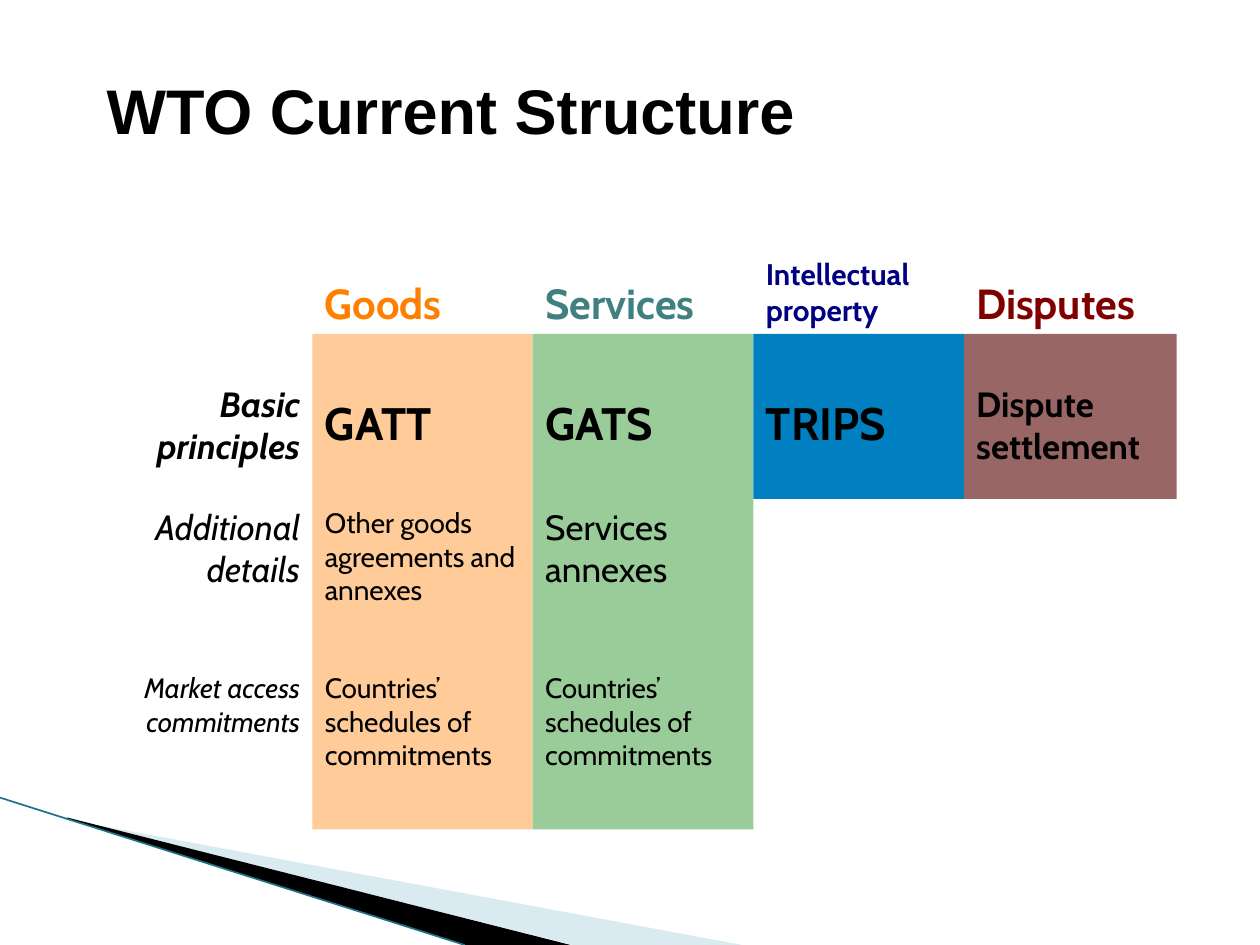
"""Build the WTO structure slide: agreements by area and by level of detail."""
from lxml import etree
from pptx import Presentation
from pptx.dml.color import RGBColor
from pptx.enum import shapes, text
from pptx.oxml import ns
from pptx.util import Cm, Pt

COLORS = {
    "black": "000000", "wedge": "A0CBDC", "edge": "1B7587",
    "goods": "FFCC99", "services": "99CC99", "property": "0080C0", "disputes": "996666",
    "goods head": "FF8000", "services head": "408080",
    "property head": "000080", "disputes head": "800000",
}

deck = Presentation()
deck.slide_width, deck.slide_height = Cm(25.4), Cm(19.05)
slide = deck.slides.add_slide(deck.slide_layouts[6])


def color(name):
    return RGBColor.from_string(COLORS[name])


def add_text(words, left, top, width, height, size, font="Cabin", ink="black", fill=None,
             bold=False, italic=False, align=text.PP_ALIGN.LEFT,
             anchor=text.MSO_ANCHOR.TOP, inset=0.13):
    place = Cm(left), Cm(top), Cm(width), Cm(height)
    if fill:
        box = slide.shapes.add_shape(shapes.MSO_SHAPE.RECTANGLE, *place)
        box.shadow.inherit = False
        box.fill.solid()
        box.fill.fore_color.rgb = color(fill)
        box.line.fill.background()
    else:
        box = slide.shapes.add_textbox(*place)
    frame = box.text_frame
    frame.word_wrap = True
    frame.vertical_anchor = anchor
    frame.margin_top = Cm(inset)
    paragraph = frame.paragraphs[0]
    paragraph.alignment = align
    run = paragraph.add_run()
    run.text = words
    run.font.name, run.font.size = font, Pt(size)
    run.font.bold, run.font.italic = bold, italic
    run.font.color.rgb = color(ink)


wedges = [
    ("wedge", 40, [(1.4, 16.53), (14.96, 19.05), (11.55, 19.05), (1.4, 16.51)]),
    ("black", 100, [(1.35, 16.48), (11.5, 19.05), (9.37, 19.05), (1.37, 16.51)]),
]
for name, opacity, corners in wedges:
    start, *rest = [(Cm(x), Cm(y)) for x, y in corners]
    outline = slide.shapes.build_freeform(*start)
    outline.add_line_segments(rest, close=True)
    wedge = outline.convert_to_shape()
    wedge.shadow.inherit = False
    wedge.line.fill.background()
    wedge.fill.solid()
    wedge.fill.fore_color.rgb = color(name)
    if opacity < 100:
        tint = wedge.fill._xPr.find(".//" + ns.qn("a:srgbClr"))
        etree.SubElement(tint, ns.qn("a:alpha"), val=str(opacity * 1000))

edge = slide.shapes.add_connector(
    shapes.MSO_CONNECTOR.STRAIGHT, Cm(0), Cm(16.08), Cm(9.37), Cm(19.05))
edge.line.color.rgb = color("edge")
edge.line.width = Pt(0.95)
etree.SubElement(edge._element.spPr, ns.qn("a:effectLst"))

add_text("WTO Current Structure", 1.9, 0.84, 20.75, 2.74, 36, font="Arial", bold=True,
         anchor=text.MSO_ANCHOR.MIDDLE)

column_edges = [2.1, 6.3, 10.74, 15.19, 19.43, 23.72]
first_top, row_height = 3.4, 3.33
areas = ["goods", "services", "property", "disputes"]
headings = [("Goods", 24), ("Services", 24), ("Intellectual property", 17), ("Disputes", 24)]
levels = [
    (("Basic principles", 20, 0.98),
     [("GATT", 26, 1.24), ("GATS", 26, 1.24), ("TRIPS", 26, 1.24),
      ("Dispute settlement", 20, 0.98)]),
    (("Additional details", 20, 0.13),
     [("Other goods agreements and annexes", 16, 0.13), ("Services annexes", 20, 0.13)]),
    (("Market access commitments", 16, 0.13),
     [("Countries’ schedules of commitments", 16, 0.13)] * 2),
]

for area, (heading, size), left, right in zip(
        areas, headings, column_edges[1:], column_edges[2:]):
    add_text(heading, left, first_top, right - left, row_height, size,
             ink=area + " head", bold=True, anchor=text.MSO_ANCHOR.BOTTOM)

for row, ((label, label_size, label_inset), agreements) in enumerate(levels):
    top = first_top + (row + 1) * row_height
    is_basic = row == 0
    add_text(label, column_edges[0], top, column_edges[1] - column_edges[0], row_height,
             label_size, bold=is_basic, italic=True, align=text.PP_ALIGN.RIGHT,
             inset=label_inset)
    for area, (agreement, size, inset), left, right in zip(
            areas, agreements, column_edges[1:], column_edges[2:]):
        add_text(agreement, left, top, right - left, row_height, size, fill=area,
                 bold=is_basic, inset=inset)

deck.save("out.pptx")
